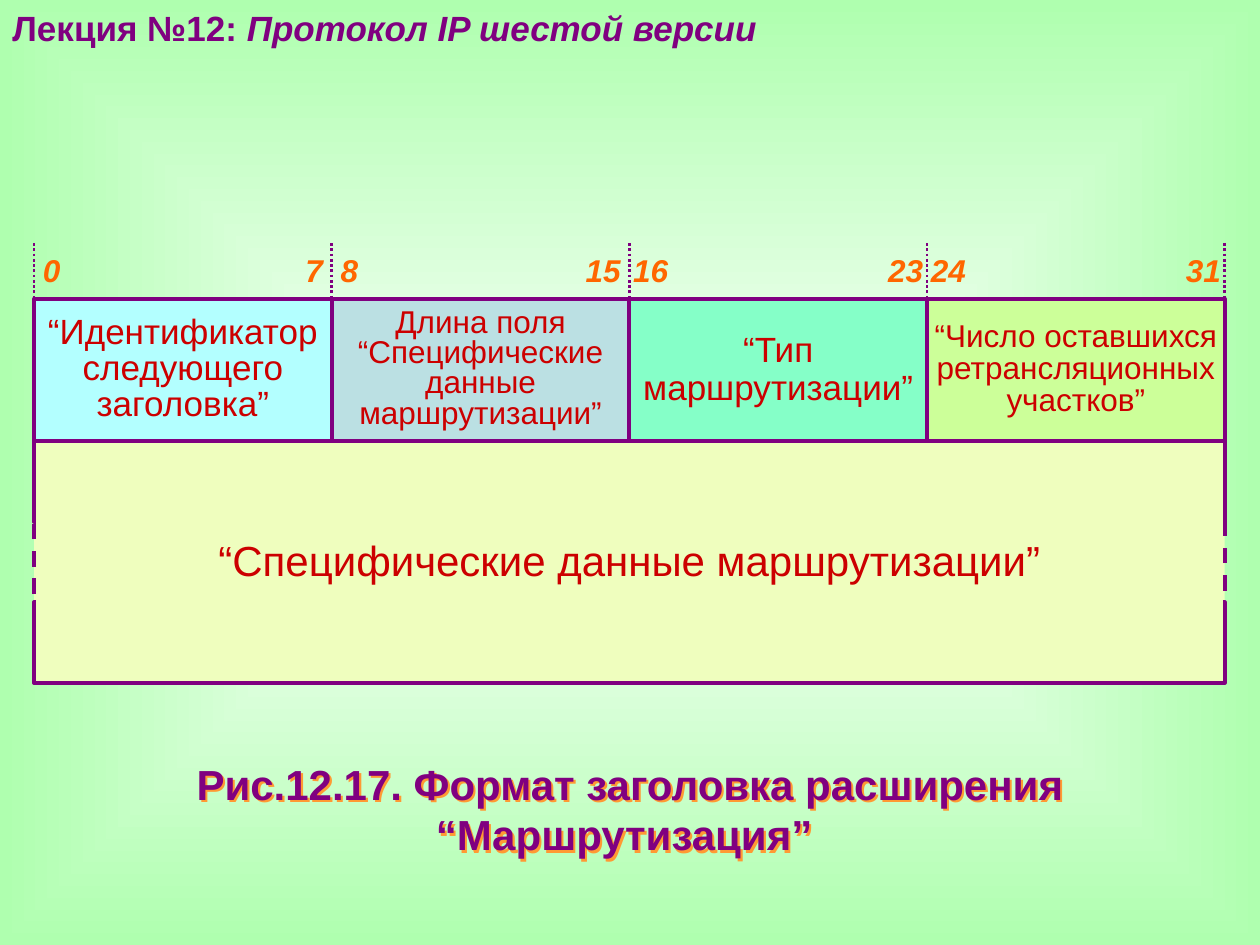
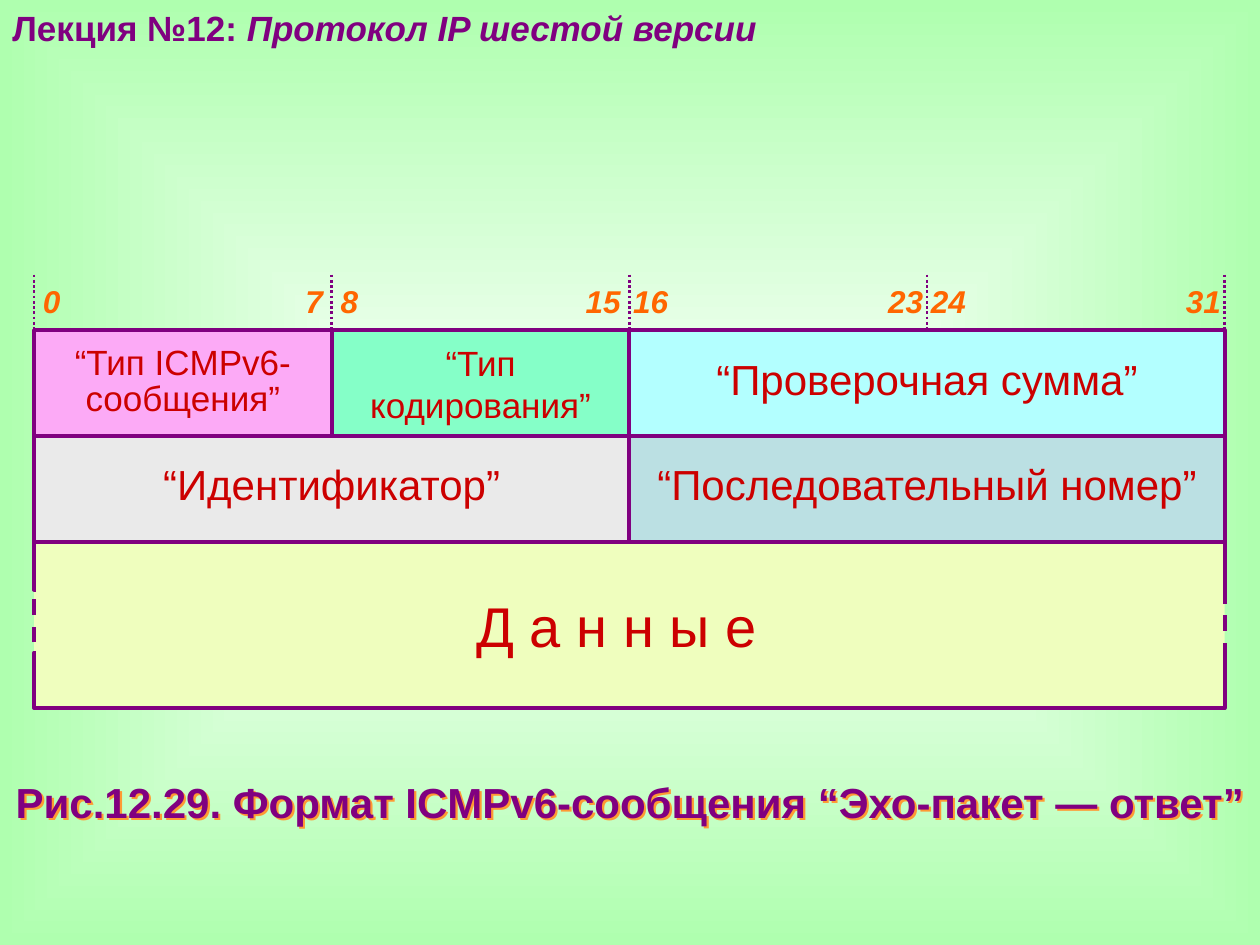
from dataclasses import dataclass

from lxml import etree
from pptx import Presentation
from pptx import util as u
from pptx.dml.color import RGBColor
from pptx.enum import dml, shapes, text
from pptx.oxml import ns


@dataclass(frozen=True)
class Theme:
    font: str = "Arial"
    purple: str = "800080"
    orange: str = "FF6600"
    glow: str = "FF9933"
    red: str = "CC0000"
    white: str = "FFFFFF"
    green: str = "AFFFAF"
    cyan: str = "B3FFFF"
    steel: str = "BBE0E3"
    mint: str = "85FFC8"
    lime: str = "CCFF99"
    pink: str = "FCAAF6"
    grey: str = "EAEAEA"
    cream: str = "EFFEBE"
    small: int = 18
    medium: int = 20
    large: int = 24
    huge: int = 32
    border: float = 2.25
    tick: float = 1.5


T = Theme()
LEFT, WIDTH, COLUMNS = 0.27, 9.45, 4
COL = WIDTH / COLUMNS
RULER_H, LABEL_H = 0.44, 0.42


def rgb(value):
    return RGBColor.from_string(value)


def inches(*values):
    return [u.Inches(v) for v in values]


def sub(parent, tag, **attrs):
    return etree.SubElement(parent, ns.qn(tag), attrs)


def add_run(p, words, size, color, bold=False, italic=False):
    r = p.add_run()
    r.text = words
    f = r.font
    f.name, f.size, f.bold, f.italic = T.font, u.Pt(size), bold, italic
    f.color.rgb = rgb(color)


def set_frame(tf, anchor, margins=None):
    tf.word_wrap = True
    tf.auto_size = text.MSO_AUTO_SIZE.NONE
    tf.vertical_anchor = anchor
    if margins:
        (tf.margin_left, tf.margin_top,
         tf.margin_right, tf.margin_bottom) = inches(*margins)


# Shared background: white centre fading to green edges
def set_background(master):
    fill = master.background.fill
    fill.gradient()
    for stop, color in zip(fill.gradient_stops, (T.white, T.green)):
        stop.color.rgb = rgb(color)
    grad = next(master.element.iter(ns.qn("a:gradFill")))
    grad.remove(grad.find(ns.qn("a:lin")))
    shade = sub(grad, "a:path", path="shape")
    sub(shade, "a:fillToRect", l="50000", t="50000", r="50000", b="50000")


# Running lecture heading
def add_heading(s):
    tf = s.shapes.add_textbox(*inches(0, 0, 6.38, 0.43)).text_frame
    set_frame(tf, text.MSO_ANCHOR.TOP)
    p = tf.paragraphs[0]
    add_run(p, "Лекция №12: ", T.medium, T.purple, bold=True)
    add_run(p, "Протокол IP шестой версии", T.medium, T.purple, bold=True, italic=True)


# Figure caption with an orange text shadow
def add_caption(s, words, top, height):
    sp = s.shapes.title
    sp.left, sp.top, sp.width, sp.height = inches(0, top, 10, height)
    set_frame(sp.text_frame, text.MSO_ANCHOR.TOP)
    p = sp.text_frame.paragraphs[0]
    p.alignment = text.PP_ALIGN.CENTER
    add_run(p, words, T.large, T.purple, bold=True)
    sp.shadow.inherit = False
    effects = sp.element.spPr.find(ns.qn("a:effectLst"))
    shadow = sub(effects, "a:outerShdw", dist="22000", dir="2700000", algn="ctr")
    sub(shadow, "a:srgbClr", val=T.glow)


# Rectangle with optional centred text
def add_box(s, left, top, width, height, fill, words="", size=T.large, spacing=1.0,
            line=T.purple, weight=T.border, dashed=False, margin_right=0):
    sp = s.shapes.add_shape(shapes.MSO_SHAPE.RECTANGLE, *inches(left, top, width, height))
    sp.shadow.inherit = False
    sp.fill.solid()
    sp.fill.fore_color.rgb = rgb(fill)
    sp.line.color.rgb = rgb(line)
    sp.line.width = u.Pt(weight)
    if dashed:
        sp.line.dash_style = dml.MSO_LINE.DASH
    if not words:
        return
    tf = sp.text_frame
    set_frame(tf, text.MSO_ANCHOR.MIDDLE, (0, 0, margin_right, 0))
    for i, line_words in enumerate(words.split("\n")):
        p = tf.add_paragraph() if i else tf.paragraphs[0]
        p.alignment = text.PP_ALIGN.CENTER
        p.line_spacing = spacing
        add_run(p, line_words, size, T.red)


# Bit ruler above the header: dotted ticks and the first and last bit of each octet
def add_tick(s, x, top):
    ln = s.shapes.add_connector(shapes.MSO_CONNECTOR.STRAIGHT,
                                *inches(x, top, x, top + RULER_H))
    ln.line.color.rgb = rgb(T.purple)
    ln.line.width = u.Pt(T.tick)
    ln.line.dash_style = dml.MSO_LINE.ROUND_DOT
    sub(ln.element.spPr, "a:effectLst")


def add_bit_label(s, octet, top):
    pad = 0.07 if octet < 2 else 0.03
    tb = s.shapes.add_textbox(*inches(LEFT + octet * COL, top, COL, LABEL_H))
    set_frame(tb.text_frame, text.MSO_ANCHOR.MIDDLE, (pad, 0, 0, 0))
    p = tb.text_frame.paragraphs[0]
    tabs = sub(p._p.get_or_add_pPr(), "a:tabLst")
    sub(tabs, "a:tab", pos=str(u.Inches(COL - 2 * pad)), algn="r")
    add_run(p, f"{octet * 8}\t{octet * 8 + 7}", T.small, T.orange, bold=True, italic=True)


def add_ruler(s, header_top):
    top = header_top - RULER_H
    for i in range(COLUMNS + 1):
        add_tick(s, LEFT + i * COL, top)
    for octet in range(COLUMNS):
        add_bit_label(s, octet, top)


# Header row: fields are (octets, words, fill, size, line spacing)
def add_row(s, top, height, fields):
    octet = 0
    for octets, words, fill, size, spacing in fields:
        add_box(s, LEFT + octet * COL, top, octets * COL, height, fill, words, size, spacing)
        octet += octets


# Variable-length field with broken sides; each span is (top, height)
def add_open_field(s, dashed, solids, label, words, size, weight, spacing=1.0, margin_right=0):
    add_box(s, LEFT, dashed[0], WIDTH, dashed[1], T.cream, dashed=True)
    for top, height in solids:
        add_box(s, LEFT, top, WIDTH, height, T.cream)
    add_box(s, LEFT + 0.05, label[0], WIDTH - 0.1, label[1], T.cream, words, size, spacing,
            line=T.cream, weight=weight, margin_right=margin_right)


def new_slide(prs, caption, caption_top, caption_height, header_top):
    s = prs.slides.add_slide(prs.slide_layouts.get_by_name("Title Only"))
    add_heading(s)
    add_caption(s, caption, caption_top, caption_height)
    add_ruler(s, header_top)
    return s


def routing_slide(prs):
    top = 2.37
    s = new_slide(prs, "Рис.12.17. Формат заголовка расширения “Маршрутизация” ", 5.97, 0.9, top)
    add_open_field(s, (4.14, 0.64), [(3.5, 0.64), (4.78, 0.64)], (4.05, 0.84),
                   "“Специфические данные маршрутизации”", T.large, 5, spacing=0.9)
    add_row(s, top, 1.13, [
        (1, "“Идентификатор следующего заголовка”", T.cyan, T.medium, 0.85),
        (1, "Длина поля\n“Специфические данные маршрутизации”", T.steel, T.small, 0.8),
        (1, "“Тип маршрутизации”", T.mint, T.medium, 0.9),
        (1, "“Число оставшихся ретрансляционных участков”", T.lime, T.small, 0.85),
    ])


def echo_reply_slide(prs):
    top, row_h = 2.62, 0.84
    s = new_slide(prs, "Рис.12.29. Формат ICMPv6-сообщения “Эхо-пакет — ответ”", 6.11, 0.5, top)
    add_open_field(s, (4.49, 0.89), [(4.29, 0.39), (5.18, 0.44)], (4.59, 0.74),
                   "Д а н н ы е", T.huge, 4.75, margin_right=0.2)
    add_row(s, top, row_h, [
        (1, "“Тип ICMPv6-сообщения”", T.pink, T.medium, 0.85),
        (1, "“Тип кодирования”", T.mint, T.medium, 1.0),
        (2, "“Проверочная сумма”", T.cyan, T.large, 0.8),
    ])
    add_row(s, top + row_h, row_h, [
        (2, "“Идентификатор”", T.grey, T.large, 0.8),
        (2, "“Последовательный номер”", T.steel, T.large, 0.8),
    ])


def main():
    prs = Presentation()
    prs.slide_width, prs.slide_height = inches(10, 7.5)
    set_background(prs.slide_master)
    routing_slide(prs)
    echo_reply_slide(prs)
    prs.save("out.pptx")


if __name__ == "__main__":
    main()
